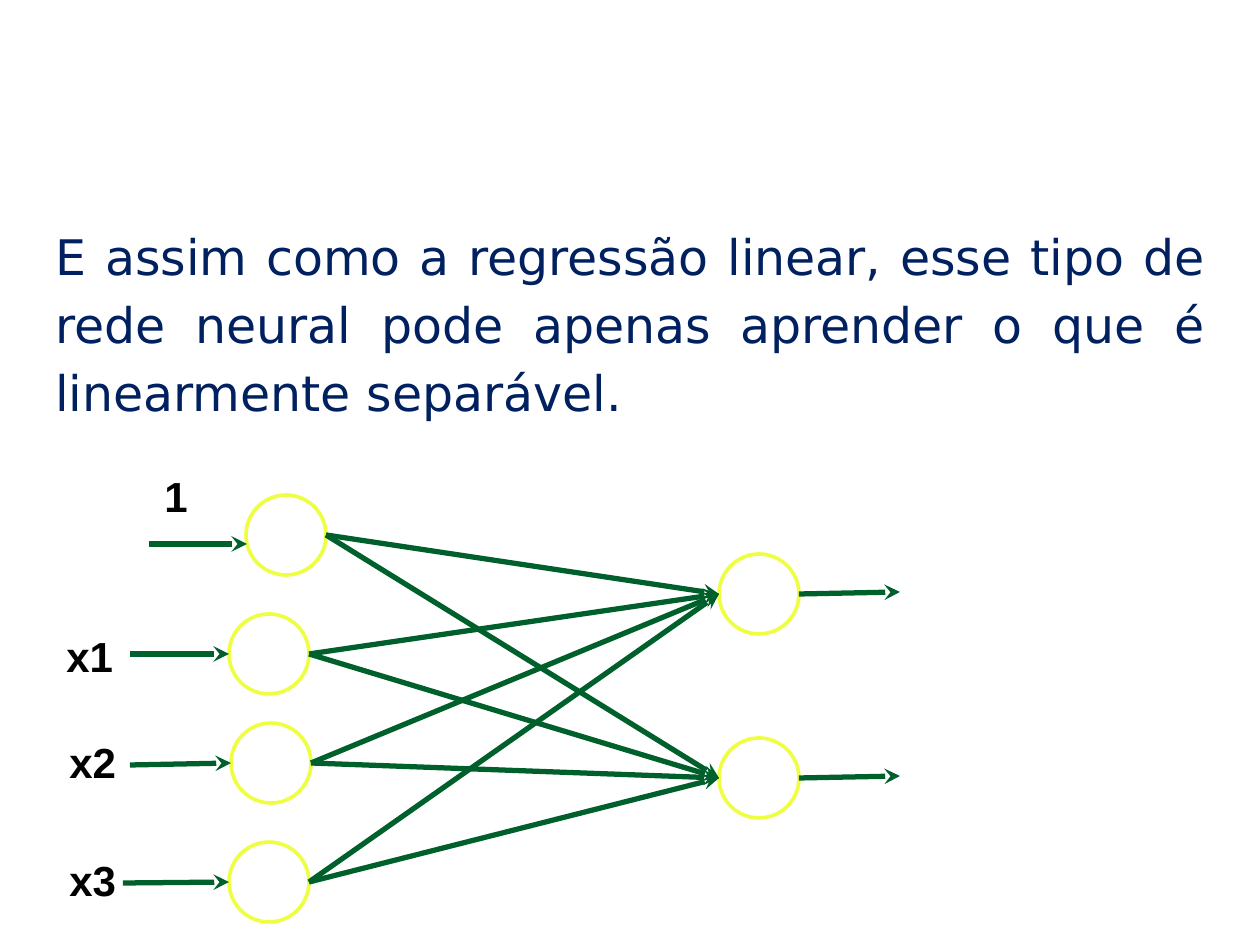
from lxml import etree
from pptx import Presentation
from pptx import util as u
from pptx.dml.color import RGBColor
from pptx.enum import shapes, text
from pptx.oxml import ns

NAVY = RGBColor(0x00, 0x20, 0x60)
BLACK = RGBColor(0, 0, 0)
WHITE = RGBColor(255, 255, 255)
LIME = RGBColor(0xEE, 0xFF, 0x41)
GREEN = RGBColor(0x00, 0x60, 0x2B)
SCALE = 914400 / 126
SIZE = 80
HALF = SIZE // 2


def px(*nums):
    return [u.Emu(round(n * SCALE)) for n in nums]


def write(box, words, font, para):
    frame = slide.shapes.add_textbox(*px(*box)).text_frame
    frame.word_wrap = True
    line = frame.paragraphs[0]
    line.text = words
    for key, val in para.items():
        setattr(line, key, val)
    for key, val in font.items():
        if key == "color":
            line.font.color.rgb = val
        else:
            setattr(line.font, key, val)


deck = Presentation()
deck.slide_width, deck.slide_height = px(1260, 945)
slide = deck.slides.add_slide(deck.slide_layouts[6])

write((43, 212, 1174, 627),
      "E assim como a regressão linear, esse tipo de rede neural "
      "pode apenas aprender o que é linearmente separável.",
      {"name": "DejaVu Sans", "size": u.Pt(28), "color": NAVY},
      {"alignment": text.PP_ALIGN.JUSTIFY, "line_spacing": 1.15,
       "space_after": u.Pt(12)})

inputs = [
    ("1", (152, 464, 49, 63), (149, 544, 247, 544), (246, 535)),
    ("x1", (54, 624, 73, 63), (130, 654, 229, 654), (229, 654)),
    ("x2", (57, 730, 73, 63), (130, 765, 231, 763), (231, 763)),
    ("x3", (57, 848, 73, 63), (123, 883, 229, 882), (229, 882)),
]
outputs = [(719, 594), (719, 778)]
nodes = [row[3] for row in inputs]

for left, mid in nodes + outputs:
    node = slide.shapes.add_shape(shapes.MSO_SHAPE.OVAL,
                                  *px(left, mid - HALF, SIZE, SIZE))
    node.shadow.inherit = False
    node.fill.solid()
    node.fill.fore_color.rgb = WHITE
    node.line.color.rgb = LIME
    node.line.width = u.Pt(2.08)

arrows = [row[2] for row in inputs]
arrows += [(left + SIZE, mid, *goal) for left, mid in nodes for goal in outputs]
arrows += [(left + SIZE, mid, 900, mid - 2) for left, mid in outputs]

for ends in arrows:
    arrow = slide.shapes.add_connector(shapes.MSO_CONNECTOR.STRAIGHT, *px(*ends))
    arrow.line.color.rgb = GREEN
    arrow.line.width = u.Pt(3)
    tip = etree.SubElement(arrow.line._get_or_add_ln(), ns.qn("a:tailEnd"))
    tip.set("type", "stealth")
    etree.SubElement(arrow._element.spPr, ns.qn("a:effectLst"))

for name, box, *rest in inputs:
    write(box, name,
          {"name": "Arial", "size": u.Pt(24), "bold": True, "color": BLACK}, {})

deck.save("out.pptx")
